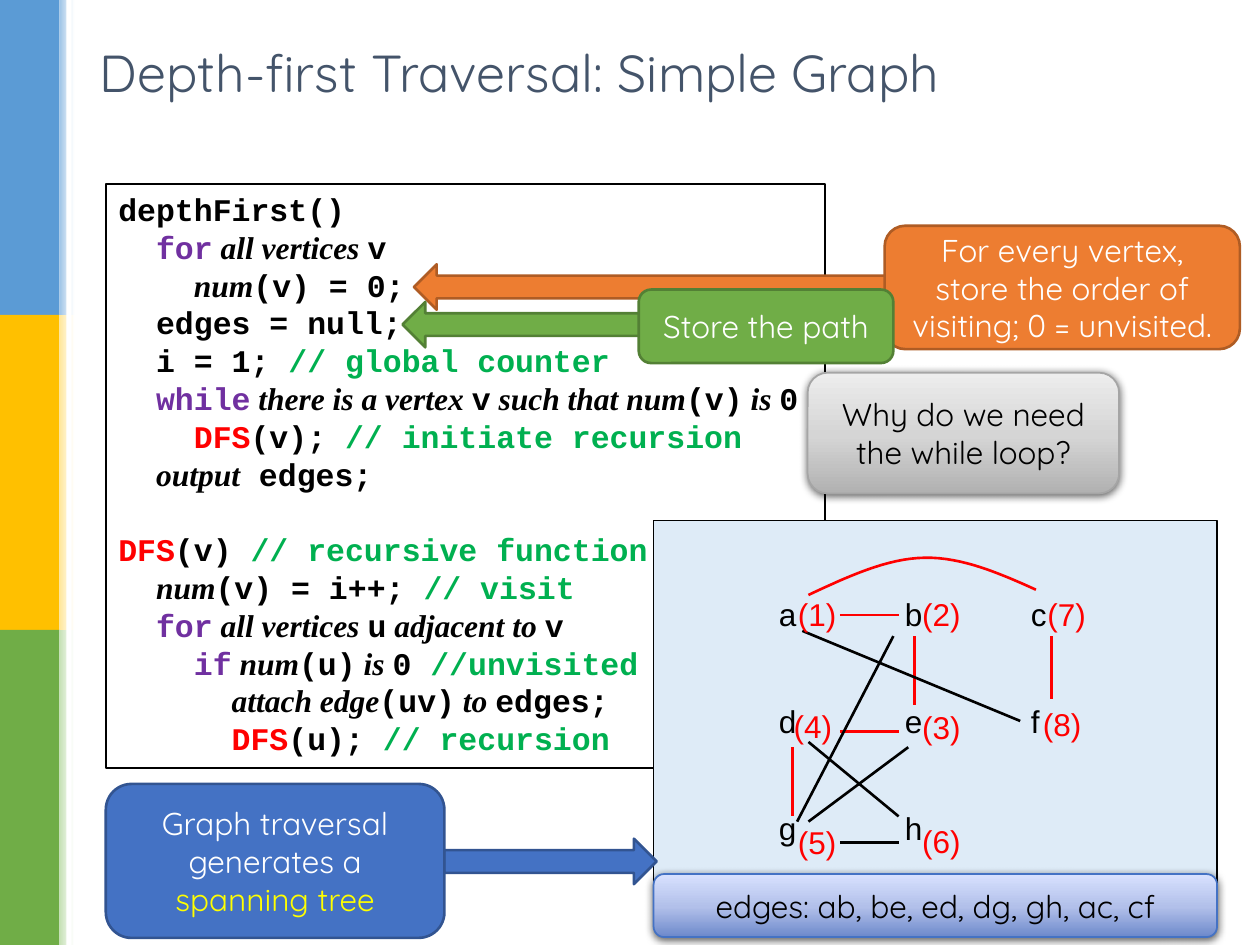
from lxml.etree import SubElement
from pptx import Presentation
from pptx.dml.color import RGBColor
from pptx.enum.shapes import MSO_CONNECTOR, MSO_SHAPE
from pptx.enum.text import MSO_ANCHOR, PP_ALIGN
from pptx.oxml.ns import qn
from pptx.util import Pt


class Theme:
    ui, sans, mono, serif = "Quicksand", "Arial", "Courier New", "Times New Roman"
    title_size, body_size = 29.7, 18
    black, white, red, yellow = "000000", "FFFFFF", "FF0000", "FFFF00"
    title, panel, keyword, comment = "44546A", "DEEBF7", "7030A0", "00B050"
    orange, orange_line = "ED7D31", "AF5C24"
    blue, blue_line = "4472C4", "325491"
    green, green_line = "70AD47", "538035"
    gray_line = "A5A5A5"
    gray_fade = [(0, "B1B1B1"), (48, "D5D5D5"), (100, "EDEDED")]
    blue_fade = [(0, "6D89CB"), (48, "B2C0EA"), (100, "D8E1FE")]
    bands = [("5B9BD5", "9DC3E6"), ("FFC000", "FFE699"), ("70AD47", "C5E0B4")]


presentation = Presentation()
presentation.slide_width, presentation.slide_height = Pt(720), Pt(540)
slide = presentation.slides.add_slide(presentation.slide_layouts[6])


def add_box(kind, place, fill=None, line=None, weight=1.5, angle=90):
    """Add a shape; kind None gives a text box, a list as fill gives a gradient."""
    lengths = [Pt(value) for value in place]
    if kind is None:
        return slide.shapes.add_textbox(*lengths)
    shape = slide.shapes.add_shape(kind, *lengths)
    shape.shadow.inherit = False
    if fill is None:
        shape.fill.background()
    elif isinstance(fill, list):
        shape.fill.gradient()
        shape.fill.gradient_angle = angle
        stops = shape._element.spPr.find(".//" + qn("a:gsLst"))
        for stop in list(stops):
            stops.remove(stop)
        for position, color in fill:
            stop = SubElement(stops, qn("a:gs"), pos=str(position * 1000))
            SubElement(stop, qn("a:srgbClr"), val=color)
    else:
        shape.fill.solid()
        shape.fill.fore_color.rgb = RGBColor.from_string(fill)
    if line is None:
        shape.line.fill.background()
    else:
        shape.line.color.rgb = RGBColor.from_string(line)
        shape.line.width = Pt(weight)
    return shape


def write(shape, lines, font=Theme.ui, size=Theme.body_size,
          align=PP_ALIGN.CENTER, anchor=MSO_ANCHOR.MIDDLE):
    """Fill a shape with lines, each a list of (text, color) runs."""
    frame = shape.text_frame
    frame.word_wrap = True
    frame.vertical_anchor = anchor
    for index, runs in enumerate(lines):
        paragraph = frame.paragraphs[0] if index == 0 else frame.add_paragraph()
        paragraph.alignment = align
        for text, color in runs:
            run = paragraph.add_run()
            run.text = text
            run.font.name = font
            run.font.size = Pt(size)
            run.font.color.rgb = RGBColor.from_string(color)
    return frame


# Side bands
for index, (color, tint) in enumerate(Theme.bands):
    add_box(MSO_SHAPE.RECTANGLE, (0, index * 180, 34, 180), color)
    add_box(MSO_SHAPE.RECTANGLE, (34, index * 180, 8.5, 180),
            [(0, tint), (100, Theme.white)], angle=0)
add_box(MSO_SHAPE.RECTANGLE, (38, 0, 3, 540), Theme.white)

# Title
write(add_box(None, (50, 19, 620, 44)),
      [[("Depth-first Traversal: Simple Graph", Theme.title)]],
      size=Theme.title_size, align=PP_ALIGN.LEFT)

# Pseudocode: indent level, then (text, style) runs
code, key, call, note, word = Theme.black, Theme.keyword, Theme.red, Theme.comment, "word"
code_lines = [
    (0, [("depthFirst()", code)]),
    (1, [("for", key), (" all vertices ", word), ("v", code)]),
    (2, [("num", word), ("(v) = 0;", code)]),
    (1, [("edges = null;", code)]),
    (1, [("i = 1; ", code), ("// global counter", note)]),
    (1, [("while", key), (" there is a vertex ", word), ("v", code),
         (" such that num", word), ("(v)", code), (" is ", word), ("0", code)]),
    (2, [("DFS", call), ("(v); ", code), ("// initiate recursion", note)]),
    (1, [("output", word), (" edges;", code)]),
    (0, [("DFS", call), ("(v)", code), (" // recursive function", note)]),
    (1, [("num", word), ("(v) = i++;", code), (" // visit", note)]),
    (1, [("for", key), (" all vertices ", word), ("u", code),
         (" adjacent to ", word), ("v", code)]),
    (2, [("if", key), (" num", word), ("(u)", code), (" is ", word),
         ("0 ", code), ("//unvisited", note)]),
    (3, [("attach edge", word), ("(uv)", code), (" to ", word), ("edges;", code)]),
    (3, [("DFS", call), ("(u);", code), (" // recursion", note)]),
]
second_function = 8
line_height = 21.6
listing = add_box(MSO_SHAPE.RECTANGLE, (60.5, 105, 411, 334), line=Theme.black, weight=1)
frame = write(listing, [[(text, code if style == word else style) for text, style in runs]
                        for level, runs in code_lines],
              Theme.mono, align=PP_ALIGN.LEFT, anchor=MSO_ANCHOR.TOP)
for paragraph, (level, runs) in zip(frame.paragraphs, code_lines):
    paragraph.line_spacing = Pt(line_height)
    properties = paragraph._p.get_or_add_pPr()
    properties.set("marL", str(Pt(21.6 * level)))
    properties.set("indent", "0")
    for run, (text, style) in zip(paragraph.runs, runs):
        run.font.bold = True
        if style == word:
            run.font.name = Theme.serif
            run.font.italic = True
frame.paragraphs[second_function].space_before = Pt(line_height)

# Graph panel and vertex names in three tabbed columns
add_box(MSO_SHAPE.RECTANGLE, (373.5, 297.5, 322, 229.5), Theme.panel, Theme.black, 1)
vertices = write(add_box(None, (438, 336.5, 181, 159)),
                 [[(row, Theme.black)] for row in ("a\tb\tc", "d\te\tf", "g\th")],
                 Theme.sans, align=PP_ALIGN.LEFT, anchor=MSO_ANCHOR.TOP)
for index, paragraph in enumerate(vertices.paragraphs):
    if index:
        paragraph.space_before = Pt(39.6)
    tabs = SubElement(paragraph._p.get_or_add_pPr(), qn("a:tabLst"))
    for column in (1, 2):
        SubElement(tabs, qn("a:tab"), pos=str(Pt(72 * column)), algn="l")

# Graph edges: tree edges are red
edges = [
    (480, 351.5, 513.5, 351.5, Theme.red),
    (480, 418, 513.5, 418, Theme.red),
    (453, 427, 453, 466.5, Theme.red),
    (522.5, 363.5, 522.5, 403, Theme.red),
    (601, 363.5, 601, 399.5, Theme.red),
    (519, 427, 462, 469.5, Theme.black),
    (583, 412, 458.5, 360.5, Theme.black),
    (455.5, 469.5, 510.5, 363.5, Theme.black),
    (462, 424, 513.5, 466.5, Theme.black),
    (480, 481.5, 513.5, 481.5, Theme.black),
]
for *ends, color in edges:
    edge = slide.shapes.add_connector(MSO_CONNECTOR.STRAIGHT, *[Pt(end) for end in ends])
    edge.line.color.rgb = RGBColor.from_string(color)
    edge.line.width = Pt(1.5)
    SubElement(edge._element.spPr, qn("a:effectLst"))

# Curved edge from a to c, traced along two Bezier segments
arc = [((462, 340), (484.5, 329.5), (507, 319), (528.5, 318.7)),
       ((528.5, 318.7), (550, 318.4), (571, 327.5), (592, 337))]
steps = 16
points = []
for segment in arc:
    for step in range(1, steps + 1):
        t = step / steps
        weights = ((1 - t) ** 3, 3 * t * (1 - t) ** 2, 3 * t * t * (1 - t), t ** 3)
        points.append(tuple(Pt(sum(weight * point[axis] for weight, point
                                   in zip(weights, segment))) for axis in (0, 1)))
builder = slide.shapes.build_freeform(Pt(462), Pt(340))
builder.add_line_segments(points, close=False)
curve = builder.convert_to_shape()
curve.shadow.inherit = False
curve.fill.background()
curve.line.color.rgb = RGBColor.from_string(Theme.red)
curve.line.width = Pt(1.5)

# Visiting order
order = [(444.5, 336.5), (515.5, 336.5), (515.5, 401), (442, 400.5),
         (444.5, 467), (515.5, 466), (587, 336.5), (584.5, 399.5)]
for number, (left, top) in enumerate(order, 1):
    write(add_box(None, (left, top, 45, 29)), [[(f"({number})", Theme.red)]],
          Theme.sans, anchor=MSO_ANCHOR.TOP)

# Callouts with their arrows
callouts = [
    ((366.5, 21, 26, 286), 90, (505.5, 129, 203, 70.5), Theme.orange, Theme.orange_line,
     [("For every vertex, store the order of visiting; 0 = unvisited.", Theme.white)]),
    ((301.5, 431.5, 26, 121.5), 270, (60.5, 448, 193.5, 88), Theme.blue, Theme.blue_line,
     [("Graph traversal generates a ", Theme.white), ("spanning tree", Theme.yellow)]),
    ((342, 60.5, 26, 250), 90, (365, 165.5, 145.5, 42), Theme.green, Theme.green_line,
     [("Store the path", Theme.white)]),
]
for arrow_place, rotation, place, fill, line, runs in callouts:
    arrow = add_box(MSO_SHAPE.DOWN_ARROW, arrow_place, fill, line)
    arrow.rotation = rotation
    write(add_box(MSO_SHAPE.ROUNDED_RECTANGLE, place, fill, line), [runs])

# Shaded boxes: question and result
shaded = [
    ((461.5, 213, 178, 69), Theme.gray_fade, Theme.gray_line,
     "Why do we need the while loop?"),
    ((373.5, 499.5, 322, 36), Theme.blue_fade, Theme.blue,
     "edges: ab, be, ed, dg, gh, ac, cf"),
]
for place, fade, line, text in shaded:
    box = add_box(MSO_SHAPE.ROUNDED_RECTANGLE, place, fade, line, 1)
    write(box, [[(text, Theme.black)]])
    effects = box._element.spPr.find(qn("a:effectLst"))
    shadow = SubElement(effects, qn("a:outerShdw"), blurRad=str(Pt(5)), dist=str(Pt(1)),
                        dir="5400000", algn="ctr", rotWithShape="0")
    color = SubElement(shadow, qn("a:srgbClr"), val=Theme.black)
    SubElement(color, qn("a:alpha"), val="63000")

presentation.save("out.pptx")
